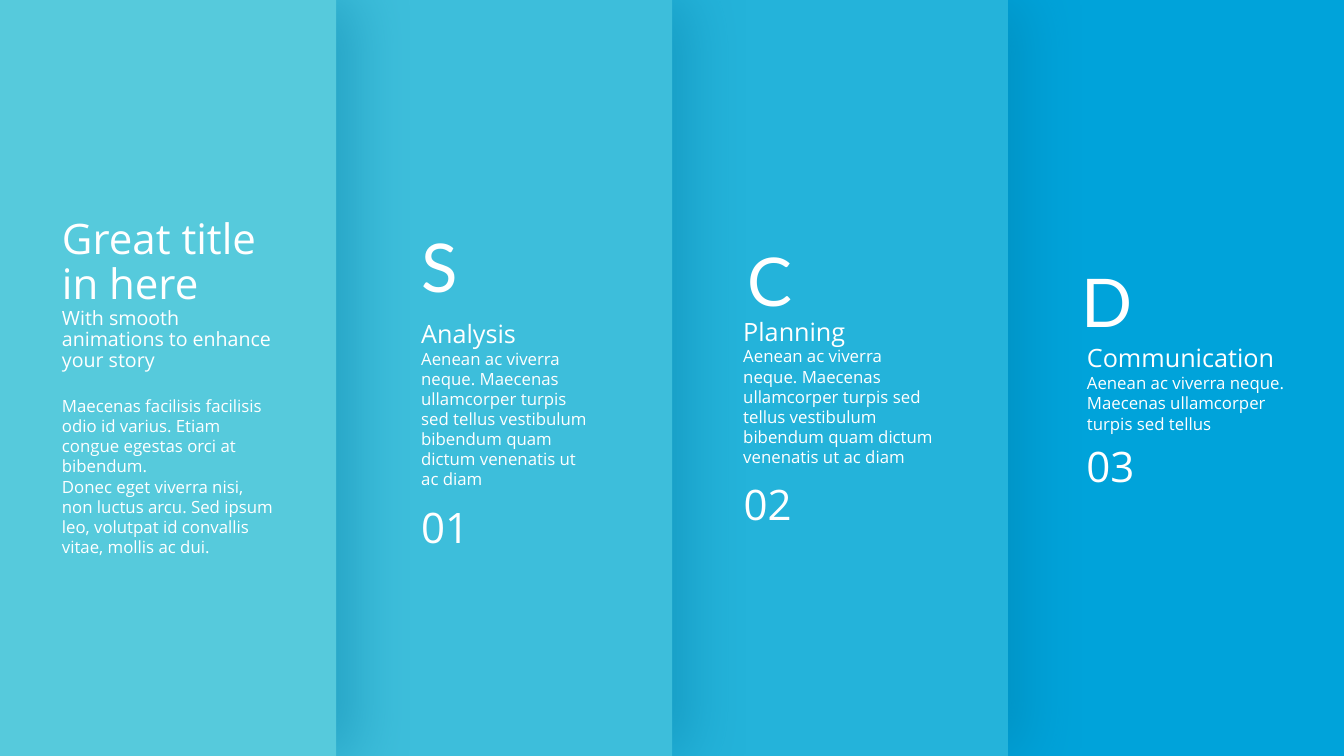
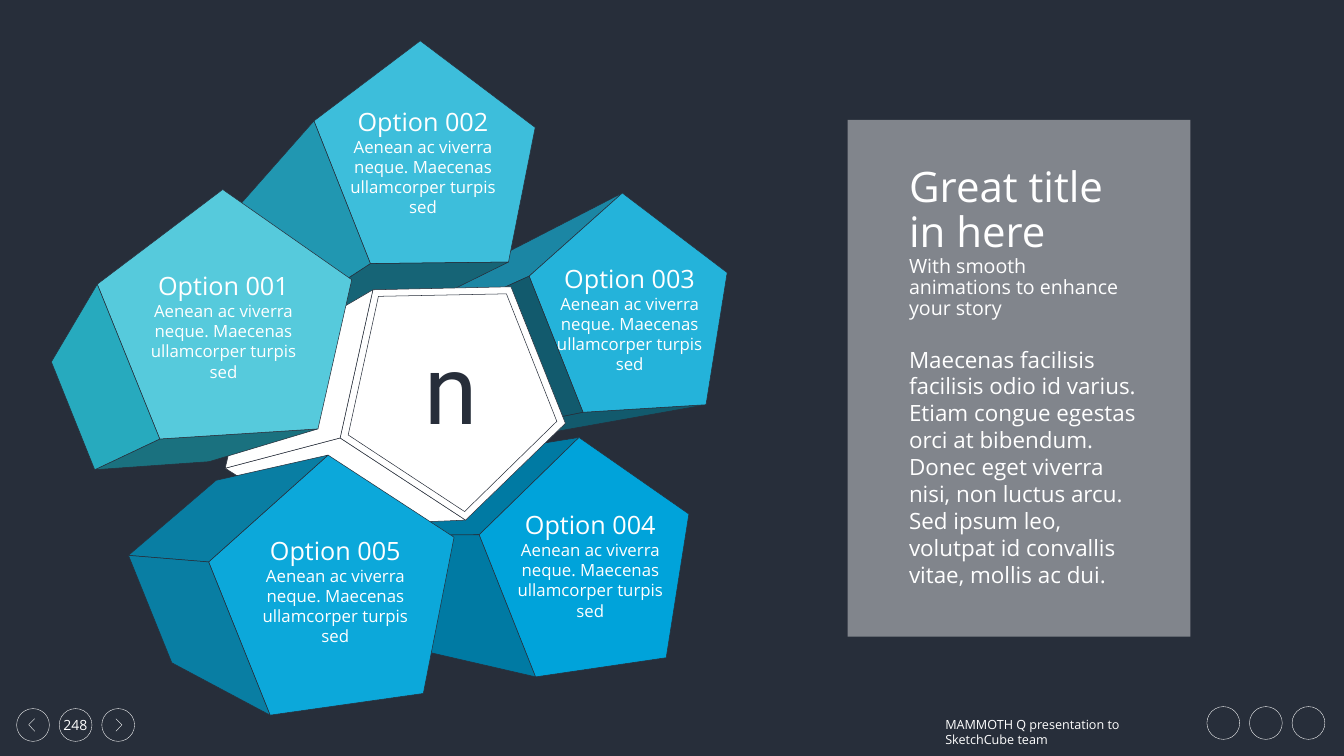
from typing import NamedTuple, Optional, Sequence

from lxml.etree import SubElement
from pptx import Presentation
from pptx.dml.color import RGBColor
from pptx.enum.shapes import MSO_SHAPE as Shape
from pptx.enum.text import MSO_ANCHOR as Anchor, MSO_AUTO_SIZE as AutoSize, PP_ALIGN as Align
from pptx.oxml.ns import qn
from pptx.util import Inches, Pt

# Shared colours, fonts and wording
DARK, WHITE, SHADE = "272E3A", "FFFFFF", "007AA3"
AQUA, SKY, AZURE, BLUE, CYAN = "56CADC", "3DBEDB", "24B3DA", "00A3DA", "0CA8DA"
SANS = "Open Sans"
WIDTH, HEIGHT = 26.67, 15
STORY = (
    "Maecenas facilisis facilisis odio id varius. Etiam congue egestas orci at bibendum.",
    "Donec eget viverra nisi, non luctus arcu. Sed ipsum leo, volutpat id convallis vitae, mollis ac dui.",
)
SHORT = "Aenean ac viverra neque. Maecenas ullamcorper turpis sed"
MEDIUM = SHORT + " tellus"
LONG = MEDIUM + " vestibulum bibendum quam dictum venenatis ut ac diam"


class Box(NamedTuple):
    left: float
    top: float
    width: float
    height: float

    def emu(self) -> list[int]:
        return [Inches(v) for v in self]


class Para(NamedTuple):
    text: str
    size: float


class Panel(NamedTuple):
    left: float
    width: float
    fill: str
    shadow: bool


class Topic(NamedTuple):
    letter: str
    letter_box: Box
    paras: tuple[Para, Para]
    text_box: Box
    number: str
    number_box: Box


class Block(NamedTuple):
    corners: list[tuple[float, float]]  # named a, b, c ... in order
    faces: list[tuple[str, str]]  # corner names and fill, back to front
    name: Optional[str]
    label_at: tuple[float, float]


TITLE = (Para("Great title in here", 60), Para("With smooth animations to enhance your story", 28))


def rgb(color: str) -> RGBColor:
    return RGBColor.from_string(color)


def style(s, fill: Optional[str] = None, line: Optional[str] = None, weight: float = 0.75) -> None:
    s.shadow.inherit = False
    if fill:
        s.fill.solid()
        s.fill.fore_color.rgb = rgb(fill)
    else:
        s.fill.background()
    if line:
        s.line.color.rgb = rgb(line)
        s.line.width = Pt(weight)
    else:
        s.line.fill.background()


def write(tf, paras: Sequence[Para], color: str = WHITE, font: str = SANS,
          align: Align = Align.LEFT, spacing: Optional[float] = None) -> None:
    for i, para in enumerate(paras):
        p = tf.add_paragraph() if i else tf.paragraphs[0]
        p.alignment = align
        if spacing:
            p.line_spacing = spacing
        r = p.add_run()
        r.text = para.text
        r.font.size = Pt(para.size)
        r.font.name = font
        r.font.color.rgb = rgb(color)


def add_text(slide, box: Box, paras: Sequence[Para], wrap: bool = True, grow: bool = True,
             anchor: Anchor = Anchor.TOP, **look) -> None:
    tf = slide.shapes.add_textbox(*box.emu()).text_frame
    tf.word_wrap = wrap
    tf.auto_size = AutoSize.SHAPE_TO_FIT_TEXT if grow else AutoSize.NONE
    tf.vertical_anchor = anchor
    write(tf, paras, **look)


def add_title(slide, box: Box) -> None:
    sp = slide.shapes.title
    sp.left, sp.top, sp.width, sp.height = box.emu()
    tf = sp.text_frame
    tf.word_wrap = True
    tf.auto_size = AutoSize.NONE
    tf.vertical_anchor = Anchor.TOP
    write(tf, TITLE, spacing=0.9)
    slide.shapes._spTree.append(sp._element)  # bring in front of the panels


def add_outline(slide, points: Sequence[tuple[float, float]], closed: bool = True):
    start, *rest = [(Inches(x), Inches(y)) for x, y in points]
    builder = slide.shapes.build_freeform(*start)
    builder.add_line_segments(rest, close=closed)
    return builder.convert_to_shape()


def add_rect(slide, box: Box, fill: str):
    sp = slide.shapes.add_shape(Shape.RECTANGLE, *box.emu())
    style(sp, fill)
    return sp


def add_shadow(sp) -> None:
    effects = sp._element.spPr.find(qn("a:effectLst"))
    outer = SubElement(effects, qn("a:outerShdw"), blurRad=str(Pt(86)), dist=str(Pt(27)),
                       dir="0", algn="l", rotWithShape="0")
    color = SubElement(outer, qn("a:srgbClr"), val=SHADE)
    SubElement(color, qn("a:alpha"), val="40000")


def new_slide(prs):
    slide = prs.slides.add_slide(prs.slide_layouts[5])
    slide.background.fill.solid()
    slide.background.fill.fore_color.rgb = rgb(DARK)
    return slide


def add_footer(slide, number: str) -> None:
    size, pitch = 0.65, 0.845
    # Three navigation circles on the left, three empty badges on the right
    for left, top in ((0.33, 14.06), (23.95, 14.02)):
        for i in range(3):
            box = Box(left + i * pitch, top, size, size)
            style(slide.shapes.add_shape(Shape.OVAL, *box.emu()), line=WHITE, weight=0.5)
    # Previous and next chevrons
    for tip, back in ((0.57, 0.69), (2.42, 2.3)):
        chevron = add_outline(slide, [(back, 14.26), (tip, 14.38), (back, 14.51)], closed=False)
        style(chevron, line=WHITE, weight=0.5)
    add_text(slide, Box(1.36, 14.06, 0.27, 0.64), [Para(number, 20)], wrap=False, grow=False,
             anchor=Anchor.MIDDLE, align=Align.CENTER)
    add_text(slide, Box(18.66, 14.17, 5.08, 0.4),
             [Para("MAMMOTH Q presentation to SketchCube team", 18)])


# Slide 1: panels overlap from right to left
PANELS = [
    Panel(0, WIDTH, BLUE, False),
    Panel(0, 20, AZURE, True),
    Panel(0, 13.34, SKY, True),
    Panel(-3.03, 9.7, AQUA, True),
]
TOPICS = [
    Topic("S", Box(8.27, 4.43, 1.55, 1.72),
          (Para("Analysis", 36), Para(LONG, 24)), Box(8.26, 6.26, 3.66, 3.4),
          "01", Box(8.26, 9.9, 1.16, 1.11)),
    Topic("C", Box(14.73, 4.69, 1.55, 1.72),
          (Para("Planning", 36), Para(LONG, 24)), Box(14.65, 6.22, 4.05, 3.13),
          "02", Box(14.66, 9.44, 1.16, 1.11)),
    Topic("D", Box(21.37, 5.11, 1.55, 1.72),
          (Para("Communication", 36), Para(MEDIUM, 24)), Box(21.47, 6.75, 4.44, 1.92),
          "03", Box(21.46, 8.69, 1.16, 1.11)),
]

# Slide 2: corners a-e are the front pentagon, the later ones lie behind it
BLOCKS = [
    Block([(11.49, 8.68), (9.51, 10.61), (10.63, 13.43), (13.22, 13.05), (13.67, 10.2),
           (8, 9.24), (6.48, 10.64), (7.29, 12.66)],
          [("fgba", SHADE), ("bghc", SHADE), ("abcde", BLUE)],
          "Option 004", (10.03, 10.06)),
    Block([(12.35, 3.83), (10.5, 5.48), (11.57, 8.18), (14.01, 8.03), (14.43, 5.41),
           (8.74, 5.69), (7.3, 6.93), (8.08, 8.88), (9.97, 8.75)],
          [("chid", "125A6D"), ("fgba", "1B86A4"), ("abcde", AZURE), ("bghc", "125A6D")],
          "Option 003", (10.81, 5.17)),
    Block([(8.34, 0.81), (6.23, 2.4), (7.35, 5.23), (10.09, 5.2), (10.62, 2.53),
           (4.13, 4.78), (4.94, 6.8), (6.99, 6.73)],
          [("abcde", SKY), ("cghd", "166476"), ("bfgc", "2197B1")],
          "Option 002", (6.71, 2.06)),
    Block([(10.14, 5.69), (7.4, 5.75), (6.75, 8.69), (9.24, 10.32), (11.22, 8.4),
           (4.97, 7.17), (4.47, 9.29), (6.28, 10.44),
           (6.91, 8.63), (7.51, 5.88), (10.05, 5.83), (11.05, 8.36), (9.22, 10.15)],
          [("cghd", WHITE), ("abcde", WHITE), ("ijklm", WHITE), ("fgcb", WHITE)],
          None, (7.88, 6.45)),
    Block([(6.51, 9.03), (4.14, 11.15), (5.36, 14.19), (8.4, 13.76), (9.01, 10.66),
           (4.29, 9.53), (2.55, 11.02), (3.41, 13.15)],
          [("abcde", CYAN), ("fgba", "097EA3"), ("bghc", "097EA3")],
          "Option 005", (4.97, 10.57)),
    Block([(4.42, 3.76), (1.93, 5.64), (3.17, 8.71), (6.31, 8.51), (6.98, 5.55),
           (1.02, 7.18), (1.88, 9.32), (4.15, 9.16)],
          [("cghd", "1A717F"), ("abcde", AQUA), ("bfgc", "27AABE")],
          "Option 001", (2.75, 5.32)),
]


def add_block(slide, block: Block) -> None:
    for names, fill in block.faces:
        points = [block.corners[ord(name) - ord("a")] for name in names]
        style(add_outline(slide, points), fill, DARK)
    if block.name:
        add_text(slide, Box(*block.label_at, 3.37, 2.32),
                 [Para(block.name, 36), Para(SHORT, 24)], align=Align.CENTER)
    else:
        add_text(slide, Box(*block.label_at, 2.14, 2.42), [Para("n", 138)], wrap=False,
                 anchor=Anchor.MIDDLE, color=DARK, font="Roboto", align=Align.CENTER)


def build_panels(prs) -> None:
    slide = new_slide(prs)
    for panel in PANELS:
        sp = add_rect(slide, Box(panel.left, 0, panel.width, HEIGHT), panel.fill)
        if panel.shadow:
            add_shadow(sp)
    add_text(slide, Box(1.13, 7.8, 4.4, 2.93), [Para(text, 24) for text in STORY])
    add_title(slide, Box(1.13, 4.27, 4.4, 3.02))
    for topic in TOPICS:
        add_text(slide, topic.text_box, topic.paras)
        add_text(slide, topic.letter_box, [Para(topic.letter, 96)], wrap=False, font="Lato")
        add_text(slide, topic.number_box, [Para(topic.number, 60)], wrap=False,
                 anchor=Anchor.MIDDLE)


def build_options(prs) -> None:
    slide = new_slide(prs)
    add_footer(slide, "248")
    for block in BLOCKS:
        add_block(slide, block)
    # Translucent card with the story
    card = add_rect(slide, Box(16.82, 2.38, 6.8, 10.25), WHITE)
    color = card._element.spPr.find(qn("a:solidFill")).find(qn("a:srgbClr"))
    SubElement(color, qn("a:alpha"), val="42000")
    add_text(slide, Box(17.94, 6.81, 4.86, 4.95), [Para(text, 32) for text in STORY])
    add_title(slide, Box(17.94, 3.24, 4.52, 2.99))


def main() -> None:
    prs = Presentation()
    prs.slide_width, prs.slide_height = Inches(WIDTH), Inches(HEIGHT)
    build_panels(prs)
    build_options(prs)
    prs.save("out.pptx")


if __name__ == "__main__":
    main()
